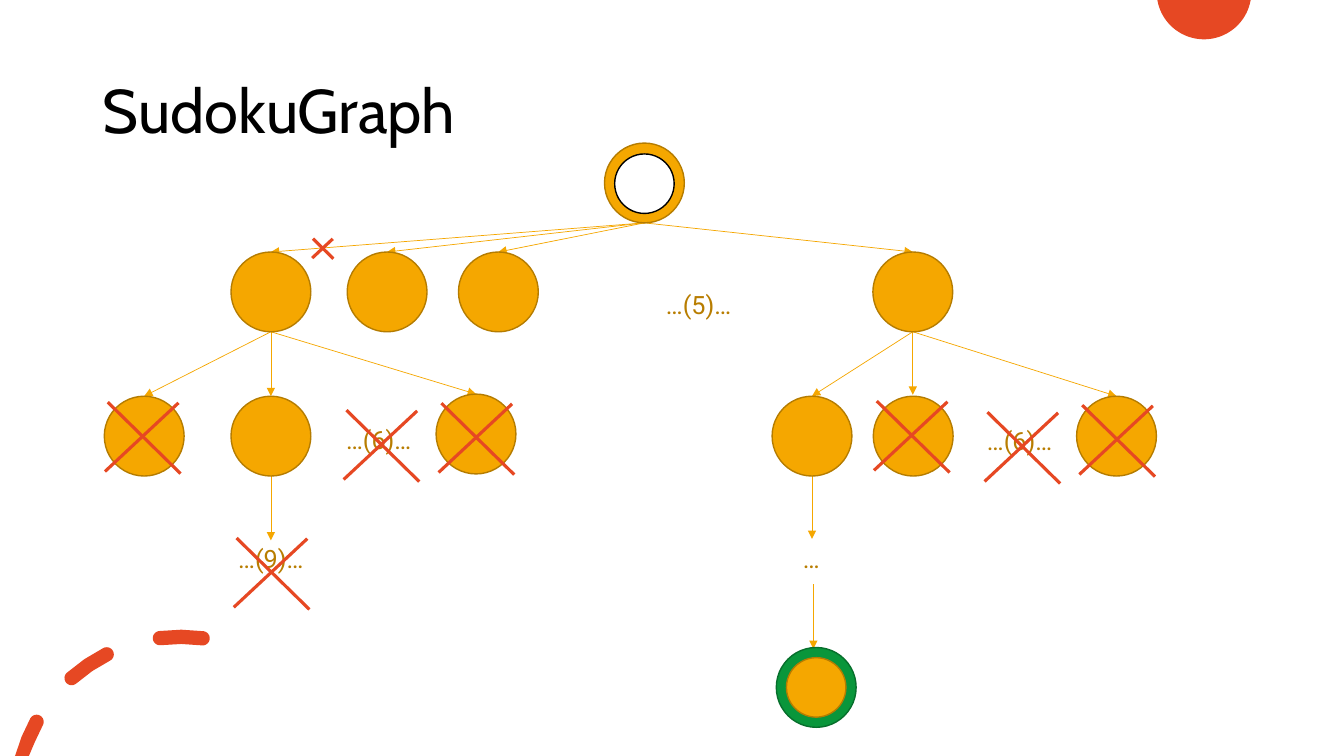
from math import cos, radians, sin

from lxml.etree import SubElement
from pptx import Presentation
from pptx.dml.color import RGBColor
from pptx.enum.shapes import MSO_CONNECTOR as CONNECTOR, MSO_SHAPE as SHAPE
from pptx.enum.text import MSO_ANCHOR as ANCHOR, PP_ALIGN as ALIGN
from pptx.oxml.ns import qn
from pptx.util import Pt

RED = RGBColor(0xE6, 0x48, 0x23)
ORANGE = RGBColor(0xF5, 0xA7, 0x00)
BROWN = RGBColor(0xB5, 0x7C, 0x00)
LABEL_BROWN = RGBColor(0xB8, 0x7D, 0x00)
GREEN = RGBColor(0x09, 0x96, 0x3B)
DARK_GREEN = RGBColor(0x07, 0x6F, 0x2C)
WHITE = RGBColor(0xFF, 0xFF, 0xFF)
BLACK = RGBColor(0x00, 0x00, 0x00)

NODE, CORE = 57, 42.5
RADIUS = NODE / 2
FIRST_ROW, SECOND_ROW = 208.5, 311.5

deck = Presentation()
deck.slide_width, deck.slide_height = Pt(960), Pt(540)
page = deck.slides.add_slide(deck.slide_layouts[5])
shapes = page.shapes


def paint(shape, fill, outline=None):
    shape.shadow.inherit = False
    shape.fill.solid()
    shape.fill.fore_color.rgb = fill
    if outline is None:
        shape.line.fill.background()
    else:
        shape.line.color.rgb = outline
        shape.line.width = Pt(1)


def draw_line(start, end, color, width, arrow=False):
    line = shapes.add_connector(CONNECTOR.STRAIGHT, *map(Pt, start + end))
    line.line.color.rgb = color
    line.line.width = Pt(width)
    if arrow:
        SubElement(line.line._get_or_add_ln(), qn("a:tailEnd"), type="triangle")
    SubElement(line._element.spPr, qn("a:effectLst"))


# Corner decoration: a disc cut by the top edge and a dashed ring
disc = [(860 + 33.8 * cos(radians(a)), max(0, -5.7 + 33.8 * sin(radians(a))))
        for a in range(10, 171, 4)]
outlines = [disc]
ring_x, ring_y, ring_radius, half_width = 129, 572.4, 117.5, 5.1
for first, last in [(-74.6, -61.1), (-41.5, -26.7), (-7.2, 7.7)]:
    dash = []
    for angle, turn in [(first, 180), (last, 0)]:
        cap_x = ring_x + ring_radius * sin(radians(angle))
        cap_y = ring_y - ring_radius * cos(radians(angle))
        for step in range(-90, 91, 15):
            heading = radians(angle + turn + step)
            dash.append((cap_x + half_width * cos(heading),
                         min(540, cap_y + half_width * sin(heading))))
    # The long sides bulge slightly, following the ring
    middle = radians((first + last) / 2)
    outer, inner = [(ring_x + r * sin(middle), ring_y - r * cos(middle))
                    for r in (ring_radius + half_width, ring_radius - half_width)]
    half = len(dash) // 2
    outlines.append(dash[:half] + [outer] + dash[half:] + [inner])

for outline in outlines:
    points = [(Pt(x), Pt(y)) for x, y in outline]
    builder = shapes.build_freeform(*points[0])
    builder.add_line_segments(points[1:])
    paint(builder.convert_to_shape(), RED)

title = shapes.title
title.left, title.top, title.width, title.height = Pt(66), Pt(29), Pt(828), Pt(104)
title.text_frame.text = "SudokuGraph"
title.text_frame.vertical_anchor = ANCHOR.MIDDLE
para = title.text_frame.paragraphs[0]
para.alignment = ALIGN.LEFT
para.line_spacing = 0.9
for name, value in {"name": "Cabin", "size": Pt(44)}.items():
    setattr(para.font, name, value)
para.font.color.rgb = BLACK

# Arrows: start point, then the tips it leads to
branches = [
    ((460.3, 159.2), [(356, 180), (276.5, 180), (652, 180), (193.5, 180)]),
    ((193.5, 237), [(103, 283), (193.5, 283), (340, 281.5)]),
    ((652, 237), [(652, 282), (580, 283), (797.5, 283)]),
    ((193.5, 340), [(193.5, 386)]),
    ((580, 340), [(580, 385)]),
    ((581, 417.5), [(581, 463.5)]),
]
for start, tips in branches:
    for tip in tips:
        draw_line(start, tip, ORANGE, 0.5, arrow=True)

# Nodes: centre, diameter, fill, outline
nodes = [(460.3, 130.7, NODE, ORANGE, BROWN), (460.3, 131.2, CORE, WHITE, BLACK)]
nodes += [(x, FIRST_ROW, NODE, ORANGE, BROWN) for x in (193.5, 276.5, 356, 652)]
nodes += [(x, SECOND_ROW, NODE, ORANGE, BROWN)
          for x in (103, 193.5, 580, 652.3, 797.5)]
nodes += [(340, 310, NODE, ORANGE, BROWN),
          (583, 491, NODE, GREEN, DARK_GREEN), (583, 491, CORE, ORANGE, BROWN)]
for x, y, size, fill, outline in nodes:
    circle = shapes.add_shape(SHAPE.OVAL, Pt(x - size / 2), Pt(y - size / 2),
                              Pt(size), Pt(size))
    paint(circle, fill, outline)

# Labels for the nodes left out: text, centre, top, width
labels = [("…(5)…", 499, 203, 222), ("…(6)…", 270.5, 299.5, 106),
          ("…(9)…", 193.5, 384.5, 222), ("…(6)…", 728.3, 300.5, 106),
          ("…", 579.5, 384.5, 222)]
for text, x, top, width in labels:
    box = shapes.add_textbox(Pt(x - width / 2), Pt(top), Pt(width), Pt(29))
    box.text_frame.word_wrap = True
    para = box.text_frame.paragraphs[0]
    para.alignment = ALIGN.CENTER
    span = para.add_run()
    span.text = text
    for name, value in {"name": "Roboto", "size": Pt(18)}.items():
        setattr(span.font, name, value)
    span.font.color.rgb = LABEL_BROWN

# Crosses over rejected branches: left, top, scale
crosses = [(75, 287.3, 1), (245.5, 293, 1), (313.3, 288, 1), (167, 384.3, 1),
           (624.3, 286.5, 1), (703.3, 294.4, 1), (771, 289.4, 1), (223, 170.5, 0.28)]
for left, top, scale in crosses:
    for x1, y1, x2, y2 in [(2, 0, 54, 51), (52.5, 0.5, 0, 49.5)]:
        draw_line((left + x1 * scale, top + y1 * scale),
                  (left + x2 * scale, top + y2 * scale), RED, 2.25)

deck.save("out.pptx")
